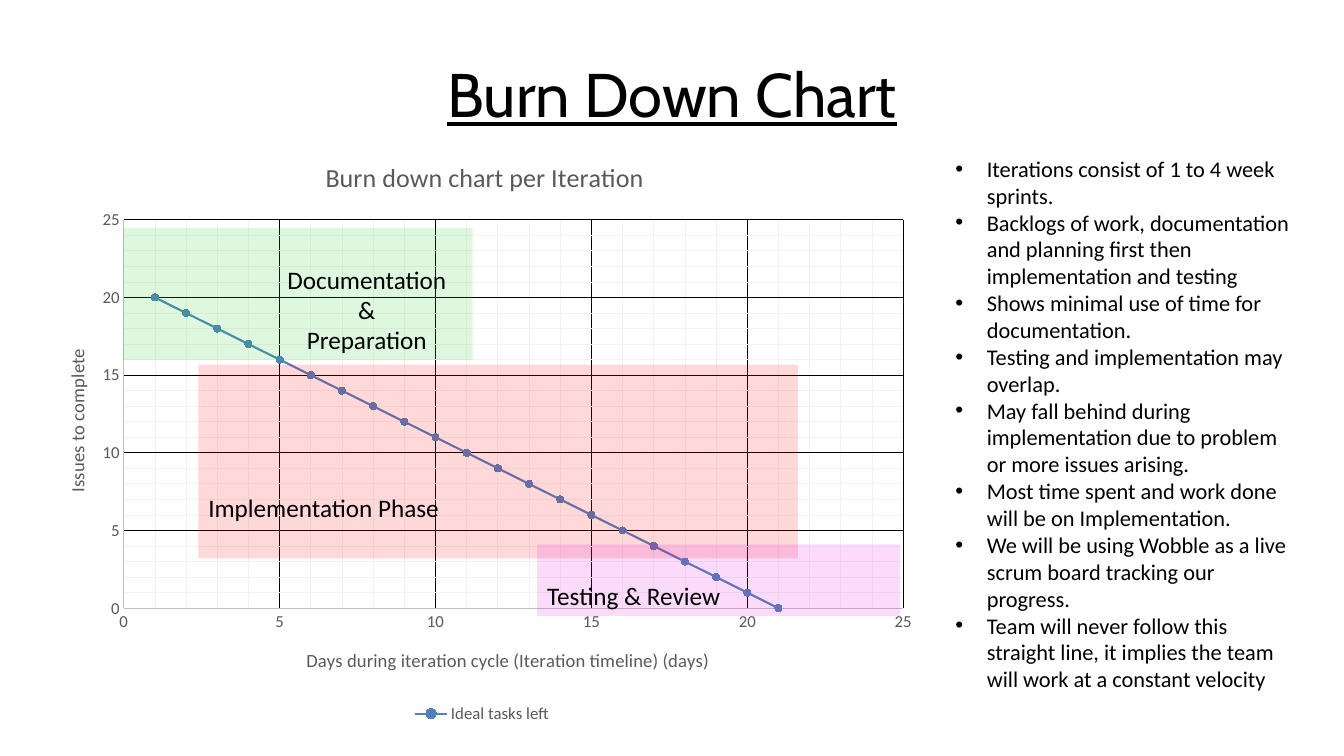
from lxml import etree
from pptx import Presentation
from pptx.chart.data import XyChartData
from pptx.dml.color import RGBColor
from pptx.enum.chart import (XL_CHART_TYPE, XL_LEGEND_POSITION,
                             XL_MARKER_STYLE, XL_TICK_MARK)
from pptx.enum.shapes import MSO_SHAPE
from pptx.enum.text import MSO_ANCHOR, PP_ALIGN
from pptx.oxml.ns import qn
from pptx.util import Cm, Pt

SCATTER = XL_CHART_TYPE.XY_SCATTER_LINES
LEGEND_BOTTOM = XL_LEGEND_POSITION.BOTTOM
CIRCLE = XL_MARKER_STYLE.CIRCLE
NO_TICK = XL_TICK_MARK.NONE
RECTANGLE = MSO_SHAPE.RECTANGLE
MIDDLE, BOTTOM = MSO_ANCHOR.MIDDLE, MSO_ANCHOR.BOTTOM
LEFT, CENTER = PP_ALIGN.LEFT, PP_ALIGN.CENTER

BLACK = RGBColor(0x00, 0x00, 0x00)
GREY = RGBColor(0x59, 0x59, 0x59)
AXIS_GREY = RGBColor(0xBF, 0xBF, 0xBF)
PALE_GREY = RGBColor(0xF2, 0xF2, 0xF2)
BLUE = RGBColor(0x4F, 0x81, 0xBD)
GREEN = RGBColor(0x20, 0xD4, 0x29)
RED = RGBColor(0xFF, 0x01, 0x01)
PINK = RGBColor(0xE1, 0x13, 0xE1)

TOTAL_TASKS = 20

# Text, fill, left, top, width, height, left inset, bottom inset (cm), alignment
PHASES = [
    (["Documentation", "&", "Preparation"], GREEN,
     3.1, 5.74, 8.81, 3.33, 3.73, 0.13, CENTER),
    (["Implementation Phase"], RED,
     5.0, 9.19, 15.11, 4.88, 0.25, 0.9, LEFT),
    (["Testing & Review"], PINK,
     13.54, 13.72, 9.14, 1.8, 0.25, 0.13, LEFT),
]

NOTES = [
    "Iterations consist of 1 to 4 week sprints.",
    "Backlogs of work, documentation and planning first then "
    "implementation and testing",
    "Shows minimal use of time for documentation.",
    "Testing and implementation may overlap.",
    "May fall behind during implementation due to problem or more "
    "issues arising.",
    "Most time spent and work done will be on Implementation.",
    "We will be using Wobble as a live scrum board tracking our progress.",
    "Team will never follow this straight line, it implies the team will "
    "work at a constant velocity",
]


def add_run(p, text, size, color=BLACK, name="Calibri"):
    r = p.add_run()
    r.text = text
    r.font.size = Pt(size)
    r.font.name = name
    r.font.color.rgb = color
    return r


def add_lines(tf, lines, size, align=LEFT):
    for i, line in enumerate(lines):
        p = tf.paragraphs[0] if i == 0 else tf.add_paragraph()
        p.alignment = align
        add_run(p, line, size)


def set_layout(element, **settings):
    """Place a chart part by fractions of the chart's size."""
    layout = element.find(qn("c:layout"))
    if layout is None:
        layout = etree.Element(qn("c:layout"))
        element.insert(0 if element.find(qn("c:tx")) is None else 1, layout)
    manual = etree.SubElement(layout, qn("c:manualLayout"))
    for tag, value in settings.items():
        etree.SubElement(manual, qn("c:" + tag)).set("val", str(value))


def set_title(owner, text, size, x, y):
    """Give a chart or an axis its title."""
    owner.has_title = True
    title = owner.chart_title if hasattr(owner, "chart_title") else owner.axis_title
    tf = title.text_frame
    r = add_run(tf.paragraphs[0], text, size, GREY)
    r.font.bold = False
    element = tf.paragraphs[0]._p.getparent().getparent().getparent()
    set_layout(element, xMode="edge", yMode="edge", x=x, y=y)
    return element


def style_axis(axis):
    axis.minimum_scale, axis.maximum_scale = 0, 25
    axis.major_unit, axis.minor_unit = 5, 1
    axis.major_tick_mark = axis.minor_tick_mark = NO_TICK
    axis.has_major_gridlines = axis.has_minor_gridlines = True
    for part, color, width in ((axis, AXIS_GREY, 0.75),
                               (axis.major_gridlines, BLACK, 0.5)):
        part.format.line.color.rgb = color
        part.format.line.width = Pt(width)
    # Minor gridlines need XML
    minor = axis._element.find(qn("c:minorGridlines"))
    ln = etree.SubElement(etree.SubElement(minor, qn("c:spPr")), qn("a:ln"))
    ln.set("w", str(Pt(0.5)))
    fill = etree.SubElement(ln, qn("a:solidFill"))
    etree.SubElement(fill, qn("a:srgbClr")).set("val", str(PALE_GREY))
    style_font(axis.tick_labels.font, 12, GREY)


def style_font(font, size, color):
    font.name = "Calibri"
    font.size = Pt(size)
    font.color.rgb = color


def add_burn_down(slide, x, y, w, h):
    data = XyChartData()
    tasks = data.add_series("Ideal tasks left")
    for left in range(TOTAL_TASKS + 1):
        tasks.add_data_point(TOTAL_TASKS + 1 - left, left)
    chart = slide.shapes.add_chart(SCATTER, x, y, w, h, data).chart
    style_font(chart.font, 10, BLACK)

    # Titles and axes
    days, issues = chart.category_axis, chart.value_axis
    style_axis(days)
    style_axis(issues)
    set_title(chart, "Burn down chart per Iteration", 18.6, 0.32, 0.04)
    set_title(days, "Days during iteration cycle (Iteration timeline) (days)",
              13.3, 0.3, 0.86)
    upright = set_title(issues, "Issues to complete", 13.3, 0.03, 0.36)
    body = upright.find(".//" + qn("a:bodyPr"))
    body.set("rot", "-5400000")
    body.set("vert", "horz")

    # Plot area and legend
    plot_area = chart._chartSpace.find(".//" + qn("c:plotArea"))
    set_layout(plot_area, layoutTarget="inner", xMode="edge", yMode="edge",
               x=0.1, y=0.15, w=0.87, h=0.65)
    chart.has_legend = True
    chart.legend.position = LEGEND_BOTTOM
    chart.legend.include_in_layout = False
    style_font(chart.legend.font, 12, GREY)

    # Ideal line
    chart.plots[0].vary_by_categories = False
    series = chart.plots[0].series[0]
    series.smooth = False
    series.format.line.color.rgb = BLUE
    series.format.line.width = Pt(1.5)
    series.marker.style = CIRCLE
    series.marker.size = 5
    series.marker.format.fill.solid()
    series.marker.format.fill.fore_color.rgb = BLUE
    series.marker.format.line.color.rgb = BLUE


def add_phase(slide, lines, color, x, y, w, h, inset, lift, align):
    sp = slide.shapes.add_shape(RECTANGLE, Cm(x), Cm(y), Cm(w), Cm(h))
    sp.shadow.inherit = False
    sp.line.fill.background()
    sp.fill.solid()
    sp.fill.fore_color.rgb = color
    srgb = sp._element.spPr.find(qn("a:solidFill")).find(qn("a:srgbClr"))
    etree.SubElement(srgb, qn("a:alpha")).set("val", "15000")
    tf = sp.text_frame
    tf.word_wrap = True
    tf.vertical_anchor = BOTTOM
    tf.margin_left, tf.margin_bottom = Cm(inset), Cm(lift)
    add_lines(tf, lines, 18, align)


def add_notes(slide, x, y, w, h):
    tf = slide.shapes.add_textbox(x, y, w, h).text_frame
    tf.word_wrap = True
    add_lines(tf, NOTES, 16)
    for p in tf.paragraphs:
        pPr = p._p.get_or_add_pPr()
        pPr.set("marL", str(Cm(0.79)))
        pPr.set("indent", str(-Cm(0.79)))
        etree.SubElement(pPr, qn("a:buFont")).set("typeface", "Arial")
        etree.SubElement(pPr, qn("a:buChar")).set("char", "•")


def add_heading(slide, x, y, w, h):
    tf = slide.shapes.add_textbox(x, y, w, h).text_frame
    tf.word_wrap = True
    tf.vertical_anchor = MIDDLE
    p = tf.paragraphs[0]
    p.alignment = CENTER
    add_run(p, "Burn Down Chart", 44, name="Cabin").font.underline = True


def main():
    prs = Presentation()
    prs.slide_width, prs.slide_height = Cm(33.87), Cm(19.05)
    slide = prs.slides.add_slide(prs.slide_layouts[6])
    add_burn_down(slide, Cm(0.86), Cm(3.28), Cm(22.58), Cm(15.06))
    for phase in PHASES:
        add_phase(slide, *phase)
    add_notes(slide, Cm(23.83), Cm(3.78), Cm(8.94), Cm(13.94))
    add_heading(slide, Cm(1.7), Cm(0.76), Cm(30.48), Cm(3.18))
    prs.save("out.pptx")


if __name__ == "__main__":
    main()
